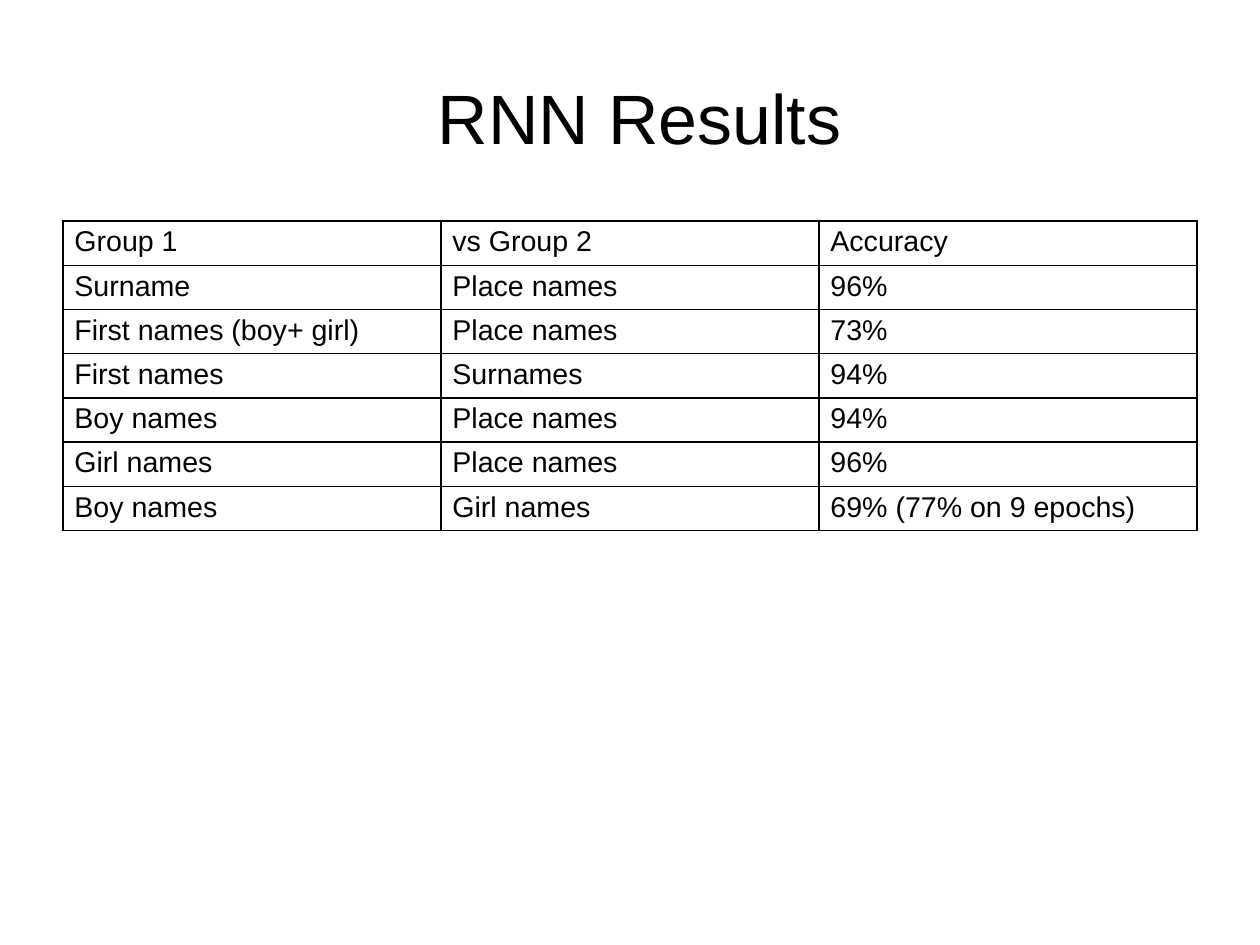
from dataclasses import dataclass
from typing import NamedTuple

from lxml import etree
from pptx import Presentation
from pptx.dml.color import RGBColor
from pptx.enum.text import MSO_ANCHOR, PP_ALIGN
from pptx.oxml.ns import qn
from pptx.util import Cm, Pt

MIDDLE = MSO_ANCHOR.MIDDLE
CENTER = PP_ALIGN.CENTER


@dataclass(frozen=True)
class Theme:
    font: str = "Arial"
    ink: str = "000000"
    title_size: int = 44
    table_size: int = 18
    border_width: int = 1


class Result(NamedTuple):
    group: str
    versus: str
    accuracy: str


THEME = Theme()
RESULTS = [
    Result("Group 1", "vs Group 2", "Accuracy"),
    Result("Surname", "Place names", "96%"),
    Result("First names (boy+ girl)", "Place names", "73%"),
    Result("First names", "Surnames", "94%"),
    Result("Boy names", "Place names", "94%"),
    Result("Girl names", "Place names", "96%"),
    Result("Boy names", "Girl names", "69% (77% on 9 epochs)"),
]
LEFT, WIDTH = Cm(1.4), Cm(25.2)
ROW_HEIGHT = Cm(0.97)


def style_paragraph(paragraph, size: int) -> None:
    font = paragraph.font
    font.name = THEME.font
    font.size = Pt(size)
    font.bold = False
    font.color.rgb = RGBColor.from_string(THEME.ink)


def add_borders(cell) -> None:
    properties = cell._tc.get_or_add_tcPr()
    for index, side in enumerate(("a:lnL", "a:lnR", "a:lnT", "a:lnB")):
        line = etree.Element(qn(side), w=str(Pt(THEME.border_width)))
        fill = etree.SubElement(line, qn("a:solidFill"))
        etree.SubElement(fill, qn("a:srgbClr"), val=THEME.ink)
        properties.insert(index, line)


def add_title(slide, text: str) -> None:
    title = slide.shapes.add_textbox(LEFT, Cm(0.84), WIDTH, Cm(3.51))
    frame = title.text_frame
    frame.word_wrap = True
    frame.vertical_anchor = MIDDLE
    frame.margin_left = frame.margin_right = 0
    frame.margin_top = frame.margin_bottom = 0
    heading = frame.paragraphs[0]
    heading.text = text
    heading.alignment = CENTER
    style_paragraph(heading, THEME.title_size)


def add_results(slide, results: list[Result]) -> None:
    columns = len(Result._fields)
    table = slide.shapes.add_table(
        len(results), columns, LEFT, Cm(4.91), WIDTH, ROW_HEIGHT * len(results)
    ).table
    table.first_row = table.horz_banding = False
    for row, result in zip(table.rows, results):
        row.height = ROW_HEIGHT
        for cell, text in zip(row.cells, result):
            cell.text = text
            cell.margin_top = cell.margin_bottom = Cm(0.11)
            cell.fill.background()
            style_paragraph(cell.text_frame.paragraphs[0], THEME.table_size)
            add_borders(cell)


def main() -> None:
    presentation = Presentation()
    presentation.slide_width, presentation.slide_height = Cm(28), Cm(21)
    slide = presentation.slides.add_slide(presentation.slide_layouts[6])

    # Heading
    add_title(slide, " RNN Results")

    # Accuracy for each pair of name groups
    add_results(slide, RESULTS)

    presentation.save("out.pptx")


if __name__ == "__main__":
    main()
